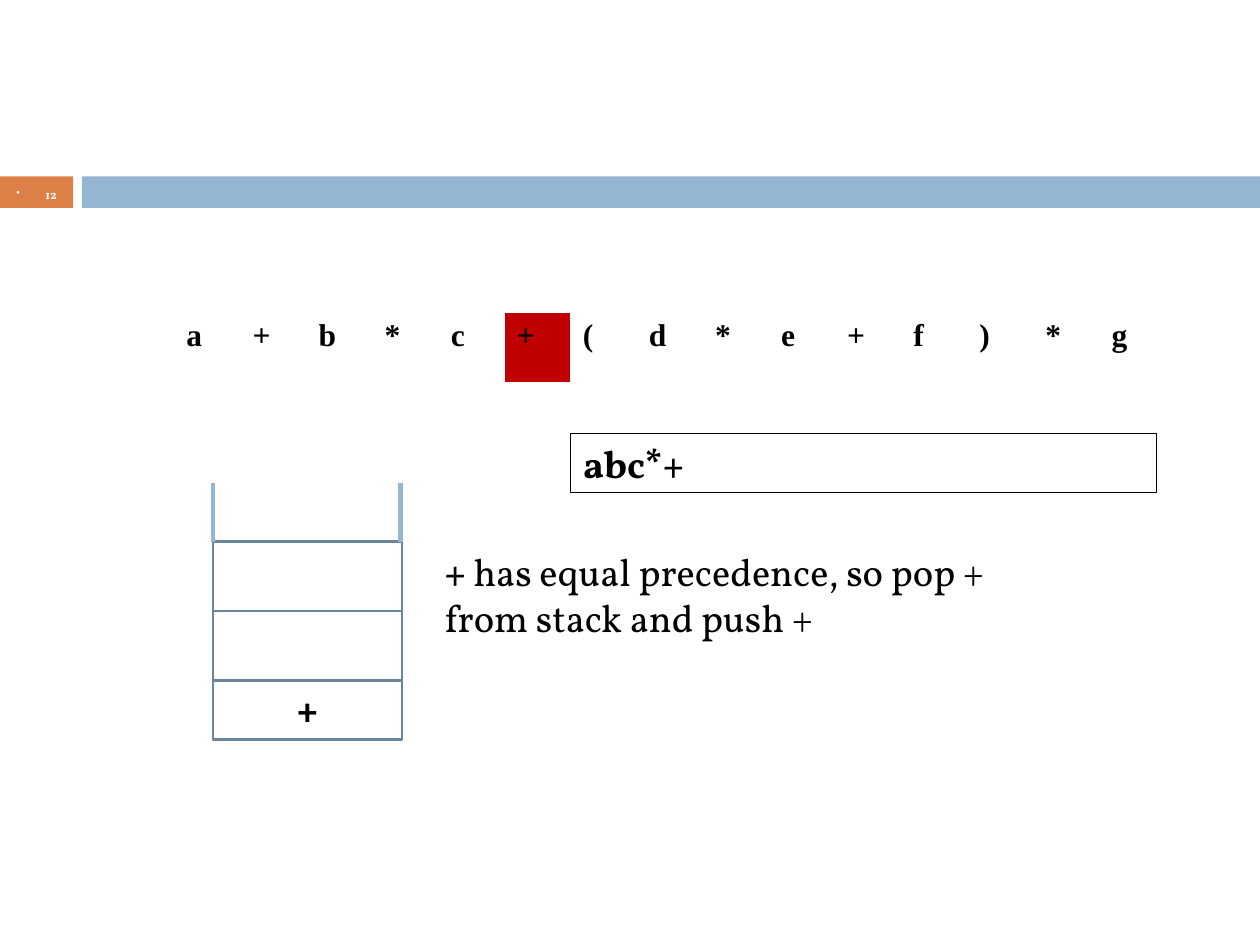
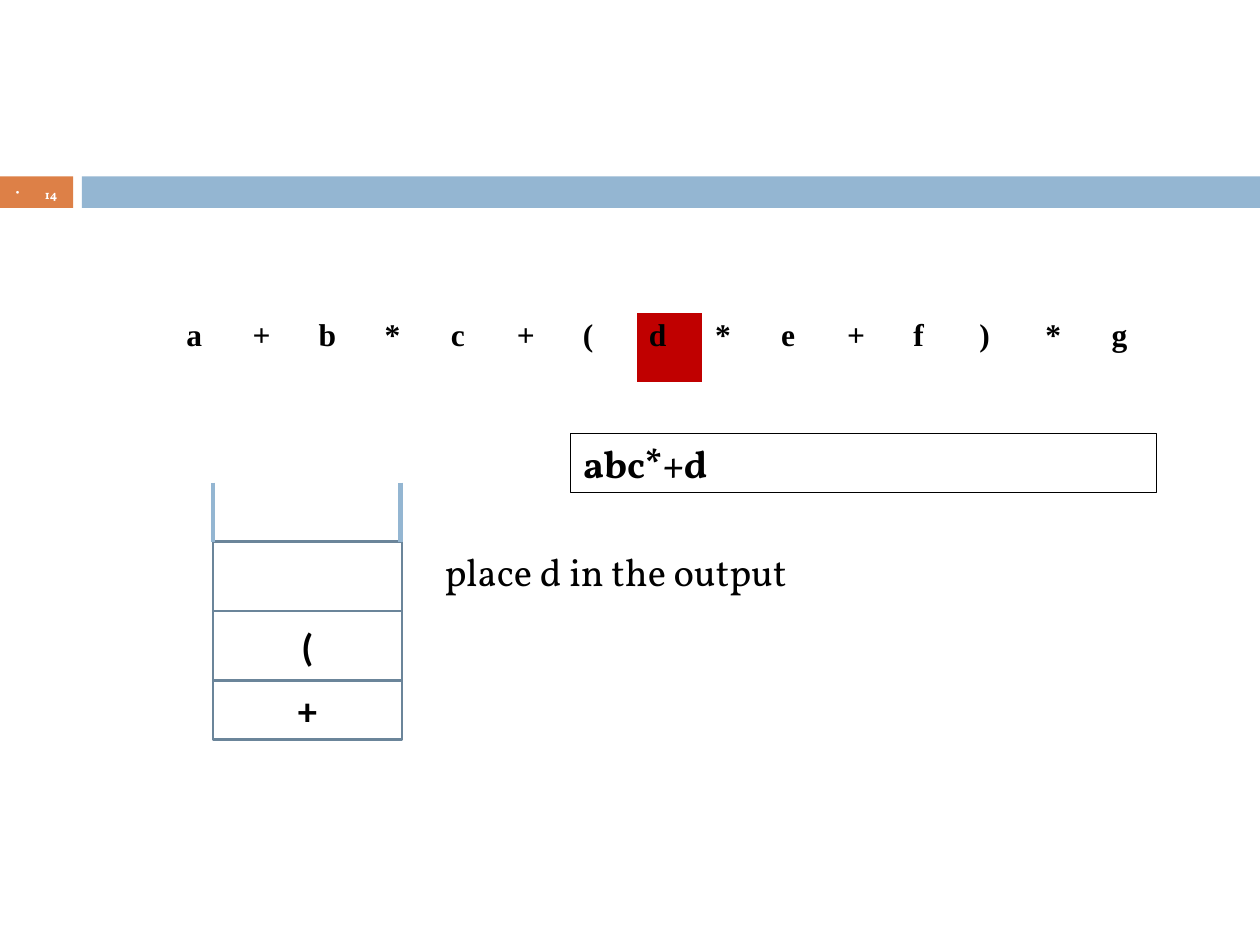
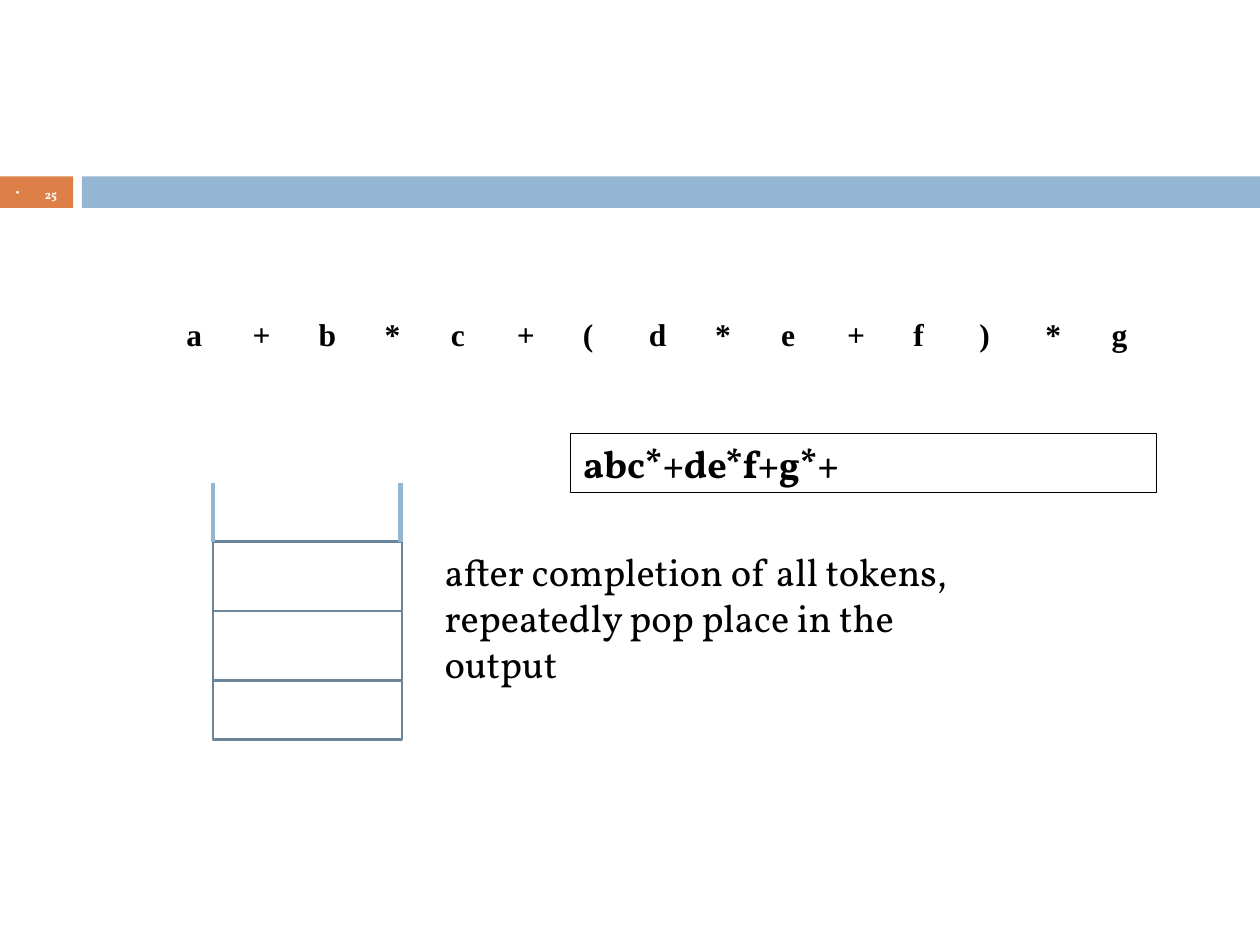
from dataclasses import dataclass

import lxml.etree
import pptx
import pptx.dml.color
import pptx.enum.shapes
import pptx.enum.text
import pptx.oxml
import pptx.oxml.ns
import pptx.util
from pptx.util import Inches

# Shared colours and fonts
WHITE, BLACK = "FFFFFF", "000000"
ORANGE, BLUE, SLATE, RED = "DD8047", "94B6D2", "6B859A", "C00000"
SERIF, SANS, TOKEN_FONT = "Vollkorn", "Calibri", "Times New Roman"

TOKENS = "a+b*c+(d*e+f)*g"
CENTER = pptx.enum.text.PP_ALIGN.CENTER
MIDDLE = pptx.enum.text.MSO_ANCHOR.MIDDLE
GROW = pptx.enum.text.MSO_AUTO_SIZE.SHAPE_TO_FIT_TEXT

# Stack geometry, in inches
STACK_LEFT, STACK_WIDTH, STACK_BOTTOM = 1.69, 1.5, 5.87
STACK_HEIGHTS = (0.47, 0.55, 0.55)  # bottom cell first
WALL_TOP, WALL_BOTTOM = 3.83, 4.3


@dataclass(frozen=True)
class Step:
    number: int
    current: int | None  # index of the highlighted token
    stack: str  # bottom entry first
    output: str
    lead: str  # bold start of the explanation
    explanation: str
    explanation_height: float


STEPS = (
    Step(12, 5, "+", "abc*+", "+",
         " has equal precedence, so pop + from stack and push +", 0.84),
    Step(14, 7, "+(", "abc*+d", "", "place d in the output", 0.47),
    Step(25, None, "", "abc*+de*f+g*+", "",
         "after completion of all tokens, repeatedly pop place in the output", 1.57),
)


def rgb(colour: str) -> pptx.dml.color.RGBColor:
    return pptx.dml.color.RGBColor.from_string(colour)


def style_font(font, size: float, name: str, colour: str = BLACK, bold: bool = True) -> None:
    font.size = pptx.util.Pt(size)
    font.name = name
    font.bold = bold
    font.color.rgb = rgb(colour)


def add_box(slide, left: float, top: float, width: float, height: float,
            fill: str, line: str | None = None, weight: float = 1):
    box = slide.shapes.add_shape(pptx.enum.shapes.MSO_SHAPE.RECTANGLE, Inches(left),
                                 Inches(top), Inches(width), Inches(height))
    box.shadow.inherit = False
    box.fill.solid()
    box.fill.fore_color.rgb = rgb(fill)
    if line:
        box.line.color.rgb = rgb(line)
        box.line.width = pptx.util.Pt(weight)
    else:
        box.line.fill.background()
    return box


def add_text_box(slide, left: float, top: float, width: float, height: float):
    frame = slide.shapes.add_textbox(Inches(left), Inches(top),
                                     Inches(width), Inches(height)).text_frame
    frame.word_wrap = True
    return frame


# Band with the slide number
def add_band(slide, number: int) -> None:
    add_box(slide, 0, 1.4, 0.58, 0.25, ORANGE)
    add_box(slide, 0.65, 1.4, 9.35, 0.25, BLUE)
    frame = add_text_box(slide, 0, 1.39, 0.58, 0.27)
    frame.vertical_anchor = MIDDLE
    paragraph = frame.paragraphs[0]
    paragraph.text = str(number)
    paragraph.alignment = CENTER
    paragraph.line_spacing = 1.3
    properties = paragraph._p.get_or_add_pPr()
    properties.set("marL", str(Inches(0.23)))
    properties.set("indent", str(-Inches(0.23)))
    namespace = pptx.oxml.ns.nsdecls("a")
    for bullet in (f'<a:buClr {namespace}><a:srgbClr val="{WHITE}"/></a:buClr>',
                   f'<a:buSzPct {namespace} val="85000"/>',
                   f'<a:buChar {namespace} char="•"/>'):
        properties.append(pptx.oxml.parse_xml(bullet))
    style_font(paragraph.runs[0].font, 7, SERIF, WHITE)


# Infix expression, one token per cell
def add_borders(cell) -> None:
    properties = cell._tc.get_or_add_tcPr()
    for side, weight in (("L", 0.45), ("R", 0.45), ("T", 0.45), ("B", 1.47)):
        properties.append(pptx.oxml.parse_xml(
            f'<a:ln{side} {pptx.oxml.ns.nsdecls("a")} w="{pptx.util.Pt(weight)}">'
            f'<a:solidFill><a:srgbClr val="{WHITE}"/></a:solidFill></a:ln{side}>'))


def add_expression(slide, current: int | None) -> None:
    expression = slide.shapes.add_table(1, len(TOKENS), Inches(1.38), Inches(2.48),
                                        Inches(7.87), Inches(0.56)).table
    expression.first_row = False
    expression.horz_banding = False
    for index, token in enumerate(TOKENS):
        cell = expression.cell(0, index)
        add_borders(cell)
        cell.fill.solid()
        cell.fill.fore_color.rgb = rgb(RED if index == current else WHITE)
        cell.text_frame.text = token
        style_font(cell.text_frame.paragraphs[0].runs[0].font, 18, TOKEN_FONT)


# Operator stack with open walls on top
def add_stack(slide, entries: str) -> None:
    top = STACK_BOTTOM
    for height, entry in zip(STACK_HEIGHTS, entries.ljust(len(STACK_HEIGHTS))):
        top -= height
        slot = add_box(slide, STACK_LEFT, top, STACK_WIDTH, height, WHITE, SLATE, 1.5)
        if entry.strip():
            frame = slot.text_frame
            frame.text = entry
            frame.vertical_anchor = MIDDLE
            frame.paragraphs[0].alignment = CENTER
            style_font(frame.paragraphs[0].runs[0].font, 22, SANS)
    for x in (STACK_LEFT, STACK_LEFT + STACK_WIDTH - 0.01):
        wall = slide.shapes.add_connector(pptx.enum.shapes.MSO_CONNECTOR.STRAIGHT, Inches(x),
                                          Inches(WALL_TOP), Inches(x), Inches(WALL_BOTTOM))
        wall.line.color.rgb = rgb(BLUE)
        wall.line.width = pptx.util.Pt(2.5)
        lxml.etree.SubElement(wall._element.spPr, pptx.oxml.ns.qn("a:effectLst"))


# Postfix output and explanation of the step
def add_output(slide, output: str) -> None:
    frame = add_box(slide, 4.53, 3.44, 4.65, 0.47, WHITE, BLACK, 0.75).text_frame
    frame.text = output
    frame.vertical_anchor = pptx.enum.text.MSO_ANCHOR.TOP
    frame.auto_size = GROW
    frame.paragraphs[0].alignment = pptx.enum.text.PP_ALIGN.LEFT
    style_font(frame.paragraphs[0].runs[0].font, 22, SERIF)


def add_explanation(slide, step: Step) -> None:
    frame = add_text_box(slide, 3.43, 4.3, 4.49, step.explanation_height)
    frame.auto_size = GROW
    for text, bold in ((step.lead, True), (step.explanation, False)):
        if text:
            run = frame.paragraphs[0].add_run()
            run.text = text
            style_font(run.font, 22, SERIF, bold=bold)


def main() -> None:
    deck = pptx.Presentation()
    deck.slide_width, deck.slide_height = Inches(10), Inches(7.5)
    blank = deck.slide_layouts.get_by_name("Blank")
    for step in STEPS:
        slide = deck.slides.add_slide(blank)
        add_band(slide, step.number)
        add_expression(slide, step.current)
        add_stack(slide, step.stack)
        add_output(slide, step.output)
        add_explanation(slide, step)
    deck.save("out.pptx")


if __name__ == "__main__":
    main()
